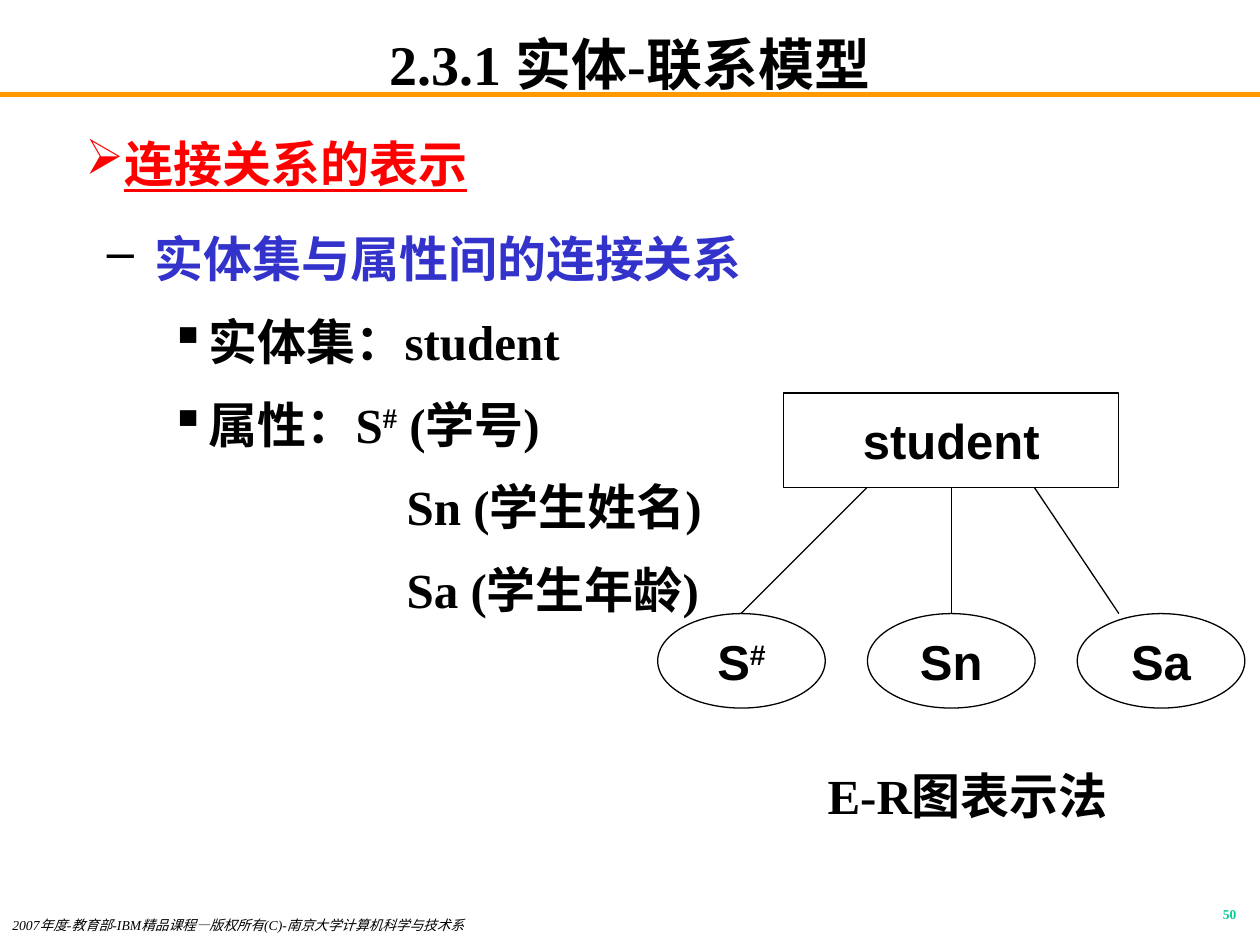
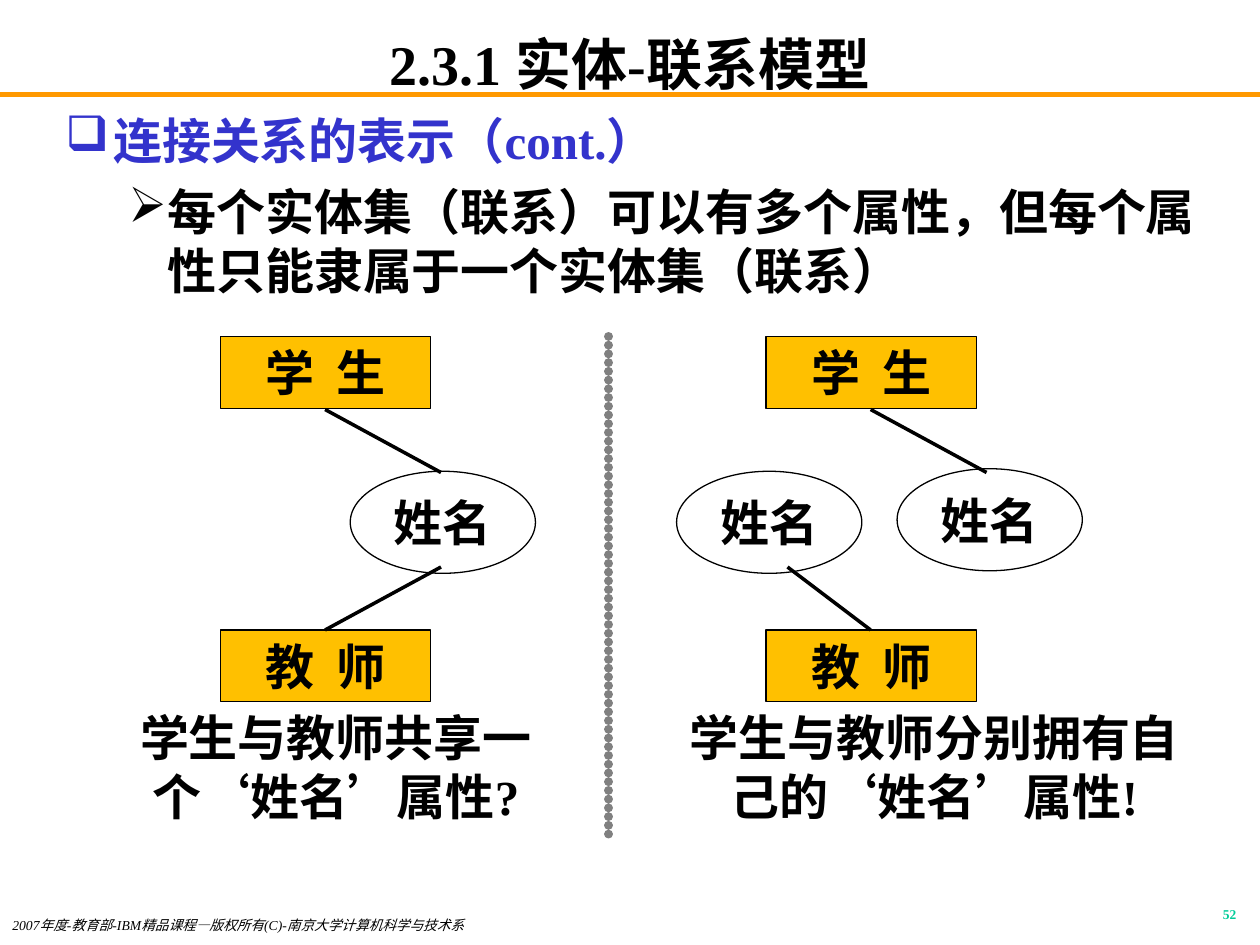
from lxml.etree import SubElement
from pptx import Presentation
from pptx.dml.color import RGBColor
from pptx.enum.shapes import MSO_CONNECTOR as CONN, MSO_SHAPE as SHAPE
from pptx.enum.text import MSO_ANCHOR as ANCHOR, MSO_AUTO_SIZE as AUTO, PP_ALIGN as ALIGN
from pptx.oxml.ns import qn
from pptx.util import Inches, Pt

BLACK = RGBColor(0x00, 0x00, 0x00)
WHITE = RGBColor(0xFF, 0xFF, 0xFF)
RED = RGBColor(0xFF, 0x00, 0x00)
BLUE = RGBColor(0x33, 0x33, 0xCC)
ORANGE = RGBColor(0xFF, 0x99, 0x00)
AMBER = RGBColor(0xFF, 0xC0, 0x00)
GREEN = RGBColor(0x00, 0xCC, 0x99)
GRAY = RGBColor(0x80, 0x80, 0x80)
SERIF, SANS, CJK = "Times New Roman", "Arial", "Noto Sans CJK SC"
TITLE = "2.3.1 实体-联系模型"
COPYRIGHT = "2007年度-教育部-IBM精品课程—版权所有(C)-南京大学计算机科学与技术系"


def inches(*lengths):
    """Convert several numbers to lengths."""
    return [Inches(n) for n in lengths]


def format_runs(p, size=28, color=BLACK, font=SERIF, bold=True, italic=False, underline=False):
    """Give every run of a paragraph the same look."""
    for r in p.runs:
        f = r.font
        f.size, f.name, f.bold, f.italic = Pt(size), font, bold, italic
        f.underline = underline
        f.color.rgb = color
        SubElement(r.font._element, qn("a:ea"), typeface=CJK)


def fill_paragraph(p, text, **look):
    """Write text with each # sign raised, then format it."""
    head, mark, tail = text.partition("#")
    p.text = head
    if mark:
        r = p.add_run()
        r.text = mark
        r.font._element.set("baseline", "30000")
    if tail:
        p.add_run().text = tail
    format_runs(p, **look)


def add_label(s, box, text, align=ALIGN.CENTER, spacing=None, **look):
    """Add a one-paragraph text box."""
    tf = s.shapes.add_textbox(*inches(*box)).text_frame
    tf.word_wrap = True
    p = tf.paragraphs[0]
    fill_paragraph(p, text, **look)
    p.alignment = align
    p.line_spacing = spacing


def set_bullet(p, char, color, margin, hang):
    """Set the indents and the bullet of a paragraph."""
    pPr = p._p.get_or_add_pPr()
    pPr.set("marL", str(Inches(margin)))
    pPr.set("indent", str(-Inches(hang)))
    if char:
        clr = SubElement(pPr, qn("a:buClr"))
        SubElement(clr, qn("a:srgbClr"), val=str(color))
        SubElement(pPr, qn("a:buChar"), char=char)
    else:
        SubElement(pPr, qn("a:buNone"))


def add_outline(s, box, items, spacing=1.0):
    """Add a text box of (text, colour, bullet, bullet colour, margin, hang) items."""
    tf = s.shapes.add_textbox(*inches(*box)).text_frame
    tf.word_wrap = True
    for i, (text, color, char, char_color, margin, hang) in enumerate(items):
        p = tf.add_paragraph() if i else tf.paragraphs[0]
        set_bullet(p, char, char_color, margin, hang)
        fill_paragraph(p, text, color=color, underline=color == RED)
        p.line_spacing = spacing
        if i:
            p.space_before = Pt(7)


def add_node(s, kind, box, text, fill=WHITE, font=SERIF):
    """Add an outlined shape with centred text."""
    sp = s.shapes.add_shape(kind, *inches(*box))
    sp.shadow.inherit = False
    sp.fill.solid()
    sp.fill.fore_color.rgb = fill
    sp.line.color.rgb = BLACK
    sp.line.width = Pt(0.75)
    tf = sp.text_frame
    tf.word_wrap = True
    tf.vertical_anchor = ANCHOR.MIDDLE
    p = tf.paragraphs[0]
    fill_paragraph(p, text, font=font)
    p.alignment = ALIGN.CENTER


def add_line(s, start, end, color=BLACK, width=0.75):
    """Add a straight line without shadow."""
    line = s.shapes.add_connector(CONN.STRAIGHT, *inches(*start, *end))
    line.line.color.rgb = color
    line.line.width = Pt(width)
    SubElement(line._element.spPr, qn("a:effectLst"))
    return line


def add_dotted_divider(s, x, top, bottom):
    """Add a vertical line of touching round dots."""
    line = add_line(s, (x, top), (x, bottom), GRAY, 5)
    ln = line.line._get_or_add_ln()
    ln.set("cap", "rnd")
    dash = SubElement(ln, qn("a:custDash"))
    SubElement(dash, qn("a:ds"), d="1000", sp="99000")


def new_slide(prs, number):
    """Add a slide with its title, rule, copyright line and number."""
    s = prs.slides.add_slide(prs.slide_layouts[5])
    title = s.shapes.title
    title.left, title.top, title.width, title.height = inches(0.75, 0.25, 8.5, 0.5)
    tf = title.text_frame
    tf.text = TITLE
    tf.auto_size = AUTO.NONE
    tf.margin_top = tf.margin_bottom = 0
    tf.vertical_anchor = ANCHOR.MIDDLE
    tf.paragraphs[0].alignment = ALIGN.CENTER
    format_runs(tf.paragraphs[0], size=32)
    rule = add_line(s, (0, 0.75), (10, 0.75), ORANGE, 3)
    s.shapes.element.insert(2, rule._element)
    add_label(s, (0, 7.25, 5.5, 0.25), COPYRIGHT, ALIGN.LEFT, 0.8,
              size=7.8, bold=False, italic=True)
    add_label(s, (7.83, 7.17, 2.08, 0.25), str(number), ALIGN.RIGHT, 0.8,
              size=7.7, color=GREEN)
    return s


def build_attributes_slide(prs):
    """Show an entity set linked to its attributes."""
    s = new_slide(prs, 50)
    add_outline(s, (0.08, 0.92, 8.5, 6.08),
                [("连接关系的表示", RED, "➢", RED, 0.81, 0.31)], 1.2)
    add_outline(s, (0.75, 1.67, 8.5, 3.58), [
        ("实体集与属性间的连接关系", BLUE, "–", BLACK, 0.38, 0.38),
        ("实体集：student", BLACK, "▪", BLACK, 0.81, 0.31),
        ("属性：S# (学号)", BLACK, "▪", BLACK, 0.81, 0.31),
        ("Sn (学生姓名)", BLACK, None, None, 2.38, 0),
        ("Sa (学生年龄)", BLACK, None, None, 2.38, 0),
    ], 1.2)
    center, top, attribute_top = 7.55, 3.87, 4.87
    add_node(s, SHAPE.RECTANGLE, (6.22, 3.12, 2.66, 0.75), "student", font=SANS)
    for i, name in enumerate(("S#", "Sn", "Sa")):
        left = 5.22 + i * 1.665
        add_node(s, SHAPE.OVAL, (left, attribute_top, 1.33, 0.75), name, font=SANS)
    for offset, end in ((-0.67, 5.88), (0, center), (0.66, 8.88)):
        add_line(s, (center + offset, top), (end, attribute_top))
    add_label(s, (6.26, 6.03, 2.84, 0.57), "E-R图表示法")


def add_entities(s, left):
    """Add the student and teacher boxes and the student's link."""
    for top, name in ((2.67, "学  生"), (5, "教  师")):
        add_node(s, SHAPE.RECTANGLE, (left, top, 1.67, 0.57), name, AMBER)
    add_line(s, (left + 0.83, 3.25), (left + 1.75, 3.75), width=2)


def build_ownership_slide(prs):
    """Compare a shared attribute with separate ones."""
    s = new_slide(prs, 52)
    add_outline(s, (0.42, 0.83, 9.25, 1.67), [
        ("连接关系的表示（cont.）", BLUE, "❑", BLUE, 0.38, 0.38),
        ("每个实体集（联系）可以有多个属性，但每个属性只能隶属于一个实体集（联系）",
         BLACK, "➢", BLACK, 0.81, 0.31),
    ])
    for left, top in ((2.78, 3.74), (5.37, 3.74), (7.12, 3.72)):
        add_node(s, SHAPE.OVAL, (left, top, 1.47, 0.81), "姓名")
    for left, teacher_link in ((1.75, 3.5), (6.08, 6.25)):
        add_entities(s, left)
        add_line(s, (left + 0.83, 5), (teacher_link, 4.5), width=2)
    add_label(s, (1, 5.57, 3.33, 1.04), "学生与教师共享一个‘姓名’属性?")
    add_label(s, (5.33, 5.57, 4.17, 1.04), "学生与教师分别拥有自己的‘姓名’属性!")
    add_dotted_divider(s, 4.83, 2.67, 6.67)


def main():
    """Build and save the presentation."""
    prs = Presentation()
    prs.slide_width, prs.slide_height = inches(10, 7.5)
    build_attributes_slide(prs)
    build_ownership_slide(prs)
    prs.save("out.pptx")


if __name__ == "__main__":
    main()
